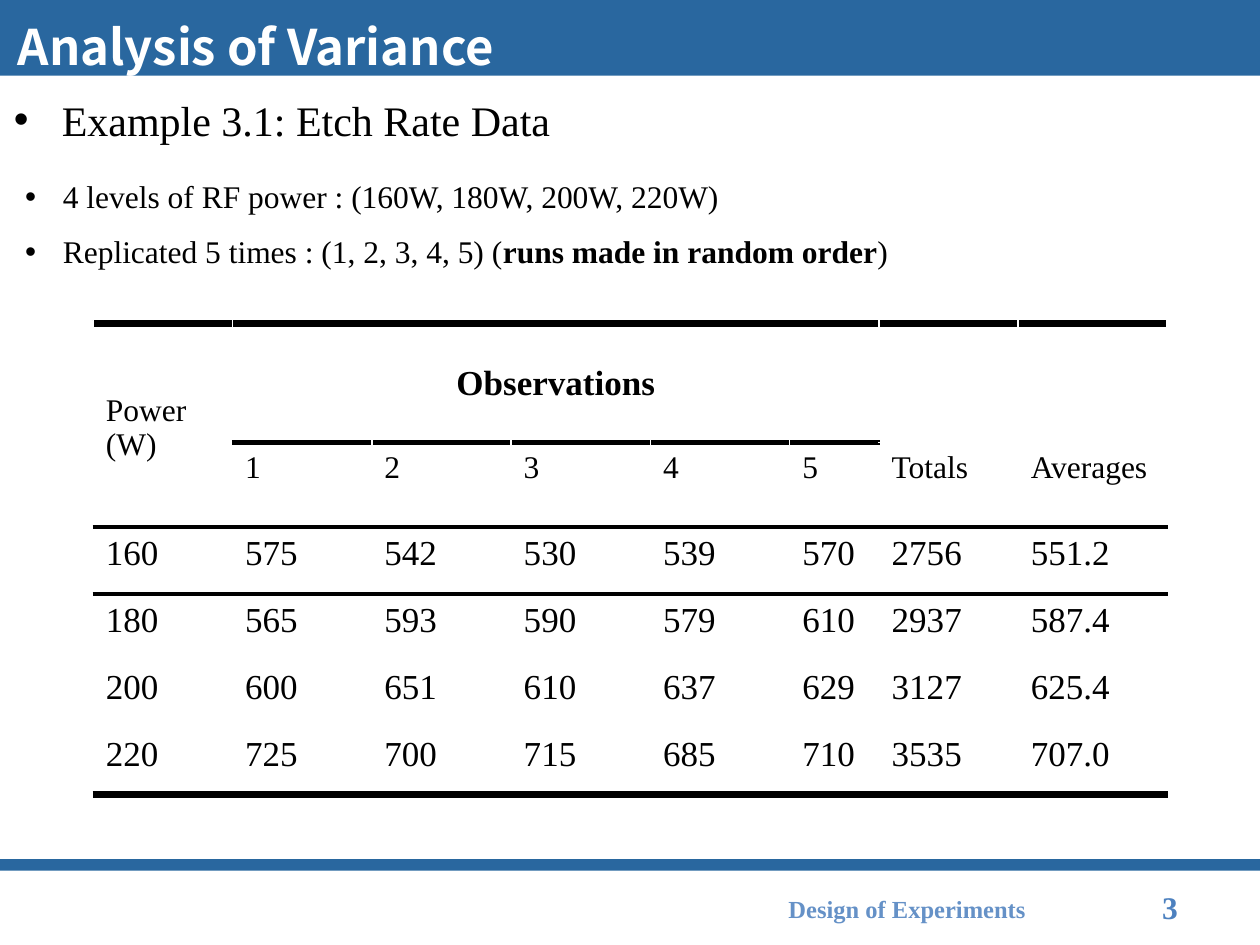
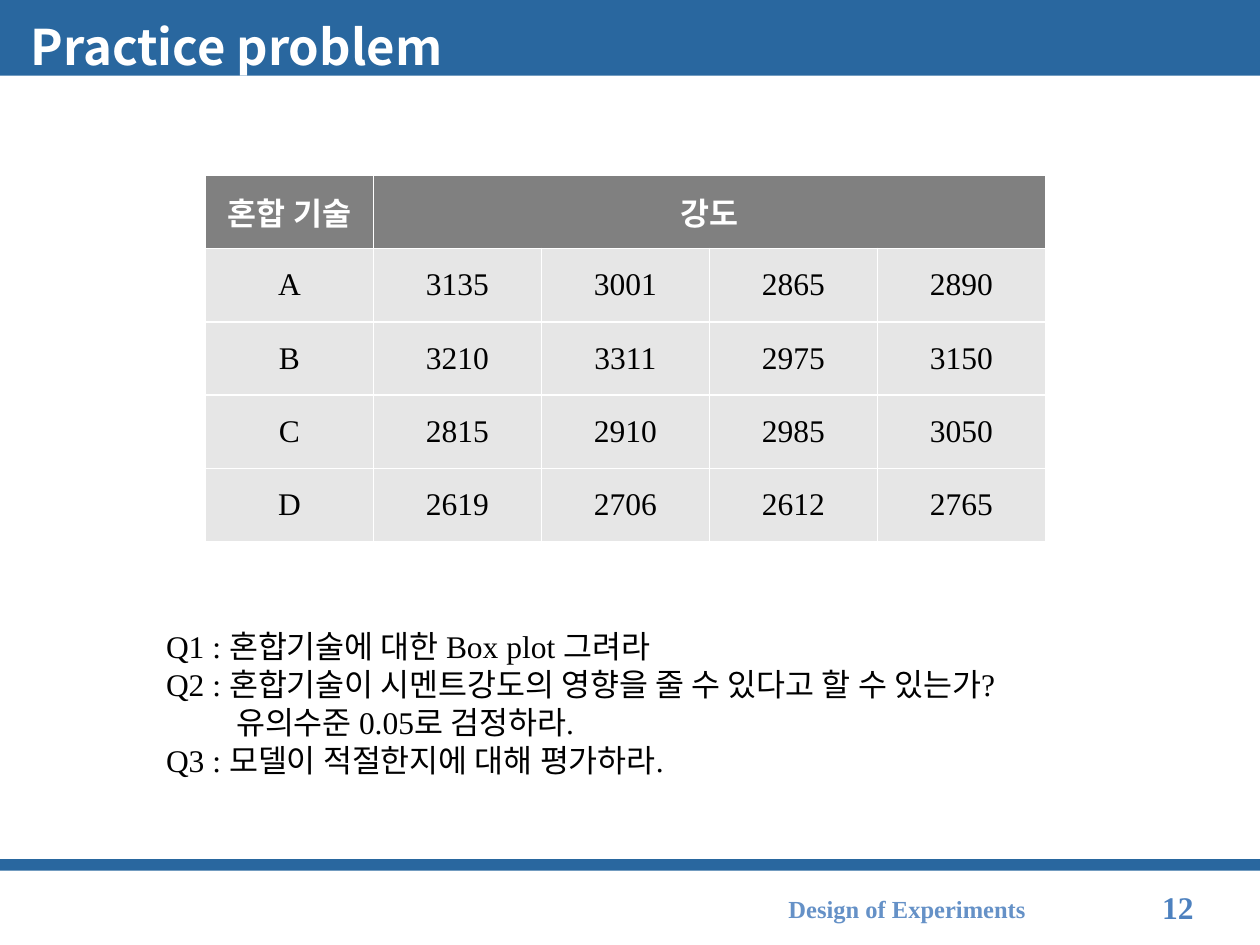
from dataclasses import dataclass

from lxml import etree
from pptx import Presentation
from pptx.dml.color import RGBColor
from pptx.enum import shapes, text
from pptx.oxml import ns
from pptx.util import Pt

# Shared look
BLUE = RGBColor(0x29, 0x67, 0x9F)
PAGE_BLUE = RGBColor(0x4D, 0x81, 0xBF)
FOOTER_BLUE = RGBColor(0x65, 0x91, 0xC7)
WHITE = RGBColor(0xFF, 0xFF, 0xFF)
BLACK = RGBColor(0, 0, 0)
HEADER_GREY = RGBColor(0x80, 0x80, 0x80)
CELL_GREY = RGBColor(0xE6, 0xE6, 0xE6)
SERIF = "Times New Roman"
SANS = "Noto Sans CJK KR"
LEFT, CENTER = text.PP_ALIGN.LEFT, text.PP_ALIGN.CENTER
MIDDLE, TOP = text.MSO_ANCHOR.MIDDLE, text.MSO_ANCHOR.TOP


@dataclass(frozen=True)
class Box:
    left: float
    top: float
    width: float
    height: float

    def points(self) -> tuple:
        return Pt(self.left), Pt(self.top), Pt(self.width), Pt(self.height)


@dataclass(frozen=True)
class Style:
    size: float
    color: RGBColor = BLACK
    bold: bool = False
    font: str = SERIF


@dataclass(frozen=True)
class Bullet:
    words: tuple  # plain and bold parts in turn
    size: float
    margin: float
    hanging: float
    before: float


BANDS = (Box(0, 0, 720, 43.2), Box(0, 491, 720, 6.5))
TITLE_BOX = Box(2.9, 9.4, 708.5, 33.1)
FOOTER_BOX = Box(427.7, 508.3, 181.4, 22.3)
PAGE_BOX = Box(657, 504, 60, 29)

TITLE = Style(28, WHITE, True, SANS)
FOOTER = Style(14, FOOTER_BLUE, True)
PAGE = Style(18, PAGE_BLUE, True)
NORMAL = Style(18)
FIGURES = Style(20)
OBSERVATIONS = Style(20, bold=True)
HEADER = Style(18, WHITE, True)

ETCH_BULLETS = (
    Bullet(("Example 3.1: Etch Rate Data",), 24, 27.4, -27.4, 6.7),
    Bullet(("4 levels of RF power : (160W, 180W, 200W, 220W)",), 18, 28, -21.6, 14),
    Bullet(("Replicated 5 times : (1, 2, 3, 4, 5) (", "runs made in random order", ")"),
           18, 28, -21.6, 5),
)
ETCH_RATES = {
    160: (575, 542, 530, 539, 570),
    180: (565, 593, 590, 579, 610),
    200: (600, 651, 610, 637, 629),
    220: (725, 700, 715, 685, 710),
}
STRENGTHS = {
    "A": (3135, 3001, 2865, 2890),
    "B": (3210, 3311, 2975, 3150),
    "C": (2815, 2910, 2985, 3050),
    "D": (2619, 2706, 2612, 2765),
}
QUESTIONS = (
    "Q1 : 혼합기술에 대한 Box plot 그려라",
    "Q2 : 혼합기술이 시멘트강도의 영향을 줄 수 있다고 할 수 있는가?\v유의수준 0.05로 검정하라.",
    "Q3 : 모델이 적절한지에 대해 평가하라.",
)


# Text helpers
def format_run(run, style: Style) -> None:
    run.font.size, run.font.bold, run.font.name = Pt(style.size), style.bold, style.font
    run.font.color.rgb = style.color
    etree.SubElement(run._r.get_or_add_rPr(), ns.qn("a:ea"), typeface=SANS)


def write(frame, words: str, style: Style, align=LEFT) -> None:
    frame.text = words
    for paragraph in frame.paragraphs:
        paragraph.alignment = align
        for run in paragraph.runs:
            format_run(run, style)


def indent(paragraph, margin: float, hanging: float = 0) -> None:
    properties = paragraph._p.get_or_add_pPr()
    properties.set("marL", str(Pt(margin)))
    properties.set("indent", str(Pt(hanging)))


def place(shape, box: Box) -> None:
    shape.left, shape.top, shape.width, shape.height = box.points()


def add_text(slide, box: Box, words: str, style: Style):
    frame = slide.shapes.add_textbox(*box.points()).text_frame
    frame.word_wrap = True
    write(frame, words, style)
    return frame


def add_rect(slide, box: Box, color: RGBColor):
    rect = slide.shapes.add_shape(shapes.MSO_SHAPE.RECTANGLE, *box.points())
    rect.shadow.inherit = False
    rect.fill.solid()
    rect.fill.fore_color.rgb = color
    rect.line.fill.background()
    return rect


# Table helpers
def add_table(slide, box: Box, widths: list, heights: list):
    table = slide.shapes.add_table(len(heights), len(widths), *box.points()).table
    table.horz_banding = False
    for column, width in zip(table.columns, widths):
        column.width = Pt(width)
    for row, height in zip(table.rows, heights):
        row.height = Pt(height)
    return table


def fill_cell(cell, color: RGBColor, anchor=TOP, side: float = 7.2, edge: float = 3.6) -> None:
    cell.fill.solid()
    cell.fill.fore_color.rgb = color
    cell.vertical_anchor = anchor
    cell.margin_left = cell.margin_right = Pt(side)
    cell.margin_top = cell.margin_bottom = Pt(edge)


def draw_edge(cell, tag: str, width: float) -> None:
    properties = cell._tc.get_or_add_tcPr()
    for old in properties.findall(ns.qn(tag)):
        properties.remove(old)
    line = etree.Element(ns.qn(tag), w=str(Pt(width)))
    fill = etree.SubElement(line, ns.qn("a:solidFill"))
    etree.SubElement(fill, ns.qn("a:srgbClr"), val=str(BLACK))
    position = len(properties.findall(ns.qn("a:lnT"))) if tag == "a:lnB" else 0
    properties.insert(position, line)


def rule_below(table, row: int, columns: range, width: float) -> None:
    for column in columns:
        draw_edge(table.cell(row, column), "a:lnB", width)
        if row + 1 < len(table.rows):
            draw_edge(table.cell(row + 1, column), "a:lnT", width)


# Frame of every slide
def add_slide(deck, layout: int, title: str, page: int, title_margin: float = 0):
    slide = deck.slides.add_slide(deck.slide_layouts[layout])
    heading = slide.shapes.title
    for band in BANDS:
        heading._element.addprevious(add_rect(slide, band, BLUE)._element)
    place(heading, TITLE_BOX)
    frame = heading.text_frame
    frame.auto_size = text.MSO_AUTO_SIZE.NONE
    frame.vertical_anchor = MIDDLE
    write(frame, title, TITLE)
    indent(frame.paragraphs[0], title_margin)

    course = add_rect(slide, FOOTER_BOX, WHITE).text_frame
    course.vertical_anchor = MIDDLE
    write(course, "Design of Experiments", FOOTER, CENTER)
    add_text(slide, PAGE_BOX, str(page), PAGE)
    return slide


# Slide: etch rate data
def add_etch_bullets(slide) -> None:
    body = slide.placeholders[1]
    place(body, Box(0.7, 43.9, 719.3, 441.4))
    frame = body.text_frame
    frame.auto_size = text.MSO_AUTO_SIZE.NONE
    frame.text = "\n".join("".join(bullet.words[:1]) for bullet in ETCH_BULLETS)
    for paragraph, bullet in zip(frame.paragraphs, ETCH_BULLETS):
        for words in bullet.words[1:]:
            paragraph.add_run().text = words
        for index, run in enumerate(paragraph.runs):
            format_run(run, Style(bullet.size, bold=index % 2 == 1))
        paragraph.line_spacing = 1.22
        paragraph.space_before = Pt(bullet.before)
        indent(paragraph, bullet.margin, bullet.hanging)


def add_etch_table(slide) -> None:
    widths = [79.6] * 5 + [51.1, 79.5, 85]
    heights = [35.3, 31, 48.2] + [38.3] * 4
    table = add_table(slide, Box(53.3, 185, sum(widths), sum(heights)), widths, heights)
    table.first_row = False
    for cell in table.iter_cells():
        fill_cell(cell, WHITE, edge=4.3)

    # Headings
    observations, power = table.cell(0, 1), table.cell(1, 0)
    observations.merge(table.cell(1, 5))
    power.merge(table.cell(2, 0))
    for column in (6, 7):
        table.cell(0, column).merge(table.cell(1, column))
    observations.vertical_anchor = MIDDLE
    write(observations.text_frame, "Observations", OBSERVATIONS, CENTER)
    write(power.text_frame, "Power\n(W)", NORMAL)
    for column, heading in enumerate((*range(1, 6), "Totals", "Averages"), 1):
        write(table.cell(2, column).text_frame, str(heading), NORMAL)

    # Figures with their totals and averages
    for row, (watts, rates) in enumerate(ETCH_RATES.items(), 3):
        total = sum(rates)
        figures = (watts, *rates, total, f"{total / len(rates):.1f}")
        for column, figure in enumerate(figures):
            write(table.cell(row, column).text_frame, str(figure), FIGURES)

    # Rules
    every_column = range(len(widths))
    for column in every_column:
        draw_edge(table.cell(0, column), "a:lnT", 4.5)
    rule_below(table, 1, range(1, 6), 3)
    rule_below(table, 2, every_column, 3)
    rule_below(table, len(heights) - 1, every_column, 4.5)
    for heading in (observations, power):
        draw_edge(heading, "a:lnB", 3)


# Slide: practice problem
def add_strength_table(slide) -> None:
    widths, heights = [96] * 5, [41.9] * 5
    table = add_table(slide, Box(117.4, 100.1, sum(widths), sum(heights)), widths, heights)
    rows = [("혼합 기술", "강도", "", "", ""), *((mix, *values) for mix, values in STRENGTHS.items())]
    for row, entries in enumerate(rows):
        for column, entry in enumerate(entries):
            cell = table.cell(row, column)
            fill_cell(cell, CELL_GREY if row else HEADER_GREY, MIDDLE)
            write(cell.text_frame, str(entry), NORMAL if row else HEADER, CENTER)
    table.cell(0, 1).merge(table.cell(0, 4))


def add_questions(slide) -> None:
    frame = add_text(slide, Box(87.8, 355, 531.4, 94.3), "\n".join(QUESTIONS), NORMAL)
    for question in frame.paragraphs:
        indent(question, 40, -40)


def main() -> None:
    deck = Presentation()
    deck.slide_width, deck.slide_height = Pt(720), Pt(540)

    etching = add_slide(deck, 1, "Analysis of Variance", 3)
    add_etch_bullets(etching)
    add_etch_table(etching)

    practice = add_slide(deck, 5, "Practice problem", 12, title_margin=7.5)
    add_strength_table(practice)
    add_questions(practice)

    deck.save("out.pptx")


if __name__ == "__main__":
    main()
